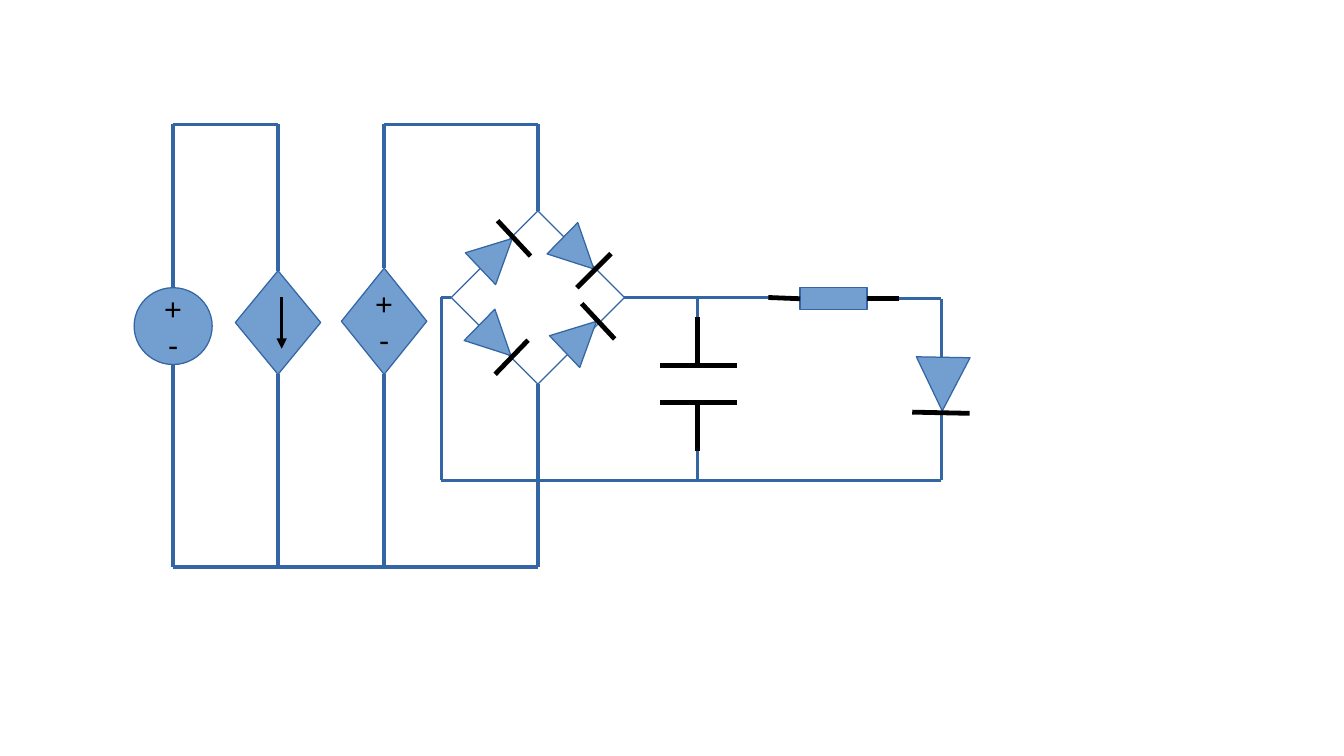
from dataclasses import dataclass
from itertools import pairwise
from typing import NamedTuple

from lxml.etree import SubElement
from pptx import Presentation
from pptx.dml.color import RGBColor
from pptx.enum.shapes import MSO_CONNECTOR as Link, MSO_SHAPE as Form
from pptx.enum.text import MSO_ANCHOR as Anchor, PP_ALIGN as Align
from pptx.oxml.ns import qn
from pptx.shapes.autoshape import Shape
from pptx.shapes.connector import Connector
from pptx.shapes.shapetree import SlideShapes
from pptx.util import Pt

EMU_PER_PX = 9144


@dataclass(frozen=True)
class Theme:
    fill: RGBColor = RGBColor(0x72, 0x9F, 0xCF)
    wire: RGBColor = RGBColor(0x34, 0x65, 0xA4)
    ink: RGBColor = RGBColor(0, 0, 0)
    paper: RGBColor = RGBColor(255, 255, 255)
    font: str = "Arial"
    text_size: float = 18
    hairline: float = 0
    heavy: float = 2.83


THEME = Theme()


class Point(NamedTuple):
    x: int
    y: int


@dataclass(frozen=True)
class Part:
    form: Form
    left: int
    top: int
    width: int
    height: int
    fill: RGBColor = THEME.fill
    signs: tuple[str, ...] = ()
    turn: float = 0

    def sites(self) -> list[Point]:
        middle_x = self.left + self.width // 2
        middle_y = self.top + self.height // 2
        return [
            Point(middle_x, self.top),
            Point(self.left, middle_y),
            Point(middle_x, self.top + self.height),
            Point(self.left + self.width, middle_y),
        ]


@dataclass(frozen=True)
class Diode:
    left: int
    top: int
    size: int
    turn: float
    bar: tuple[Point, Point]


Sockets = dict[Point, tuple[Shape, int]]

PARTS = [
    Part(Form.DIAMOND, 193, 222, 70, 85),
    Part(Form.DIAMOND, 370, 173, 142, 142, THEME.paper),
    Part(Form.DIAMOND, 280, 220, 70, 87, signs=("+", "-")),
    Part(Form.OVAL, 110, 236, 64, 63, signs=("+", "-")),
    Part(Form.RECTANGLE, 656, 236, 55, 18),
]

CURRENT_ARROW = (Point(231, 244), Point(231, 286))

WIRES = [
    [Point(142, 236), Point(142, 102), Point(228, 102), Point(228, 222)],
    [Point(142, 299), Point(142, 465), Point(228, 465), Point(228, 307)],
    [Point(315, 220), Point(315, 102), Point(441, 102), Point(441, 173)],
    [Point(315, 307), Point(315, 465), Point(441, 465), Point(441, 315)],
    [Point(228, 465), Point(315, 465)],
    [Point(370, 244), Point(362, 244), Point(362, 394), Point(572, 394),
     Point(772, 394), Point(772, 339)],
    [Point(512, 244), Point(572, 244), Point(654, 244)],
    [Point(572, 244), Point(572, 260)],
    [Point(572, 370), Point(572, 394)],
    [Point(732, 245), Point(772, 245), Point(772, 293)],
]

CAPACITOR = [
    (Point(541, 300), Point(604, 300)),
    (Point(541, 330), Point(604, 330)),
    (Point(572, 370), Point(572, 330)),
    (Point(572, 300), Point(572, 260)),
]

RESISTOR_LEADS = [
    (Point(656, 245), Point(630, 244)),
    (Point(737, 245), Point(711, 245)),
]

DIODES = [
    Diode(456, 190, 36, 134.4, (Point(501, 208), Point(473, 236))),
    Diode(388, 261, 36, 134.4, (Point(433, 279), Point(406, 307))),
    Diode(458, 258, 36, 46.4, (Point(477, 249), Point(504, 278))),
    Diode(389, 190, 36, 46.4, (Point(408, 181), Point(435, 210))),
    Diode(751, 293, 44, 181, (Point(795, 339), Point(748, 338))),
]


def px(length: int) -> int:
    return length * EMU_PER_PX


def write_signs(shape: Shape, signs: tuple[str, ...]) -> None:
    frame = shape.text_frame
    frame.word_wrap = False
    frame.vertical_anchor = Anchor.MIDDLE
    for index, sign in enumerate(signs):
        para = frame.add_paragraph() if index else frame.paragraphs[0]
        para.alignment = Align.CENTER
        span = para.add_run()
        span.text = sign
        span.font.name = THEME.font
        span.font.size = Pt(THEME.text_size)
        span.font.color.rgb = THEME.ink


def draw_part(shapes: SlideShapes, part: Part) -> Shape:
    shape = shapes.add_shape(
        part.form, px(part.left), px(part.top), px(part.width), px(part.height)
    )
    shape.shadow.inherit = False
    shape.rotation = part.turn
    shape.fill.solid()
    shape.fill.fore_color.rgb = part.fill
    shape.line.color.rgb = THEME.wire
    shape.line.width = Pt(THEME.hairline)
    if part.signs:
        write_signs(shape, part.signs)
    return shape


def draw_line(shapes: SlideShapes, start: Point, end: Point, sockets: Sockets,
              color: RGBColor = THEME.ink, width: float = THEME.heavy) -> Connector:
    line = shapes.add_connector(
        Link.STRAIGHT, px(start.x), px(start.y), px(end.x), px(end.y)
    )
    line.line.color.rgb = color
    line.line.width = Pt(width)
    SubElement(line._element.spPr, qn("a:effectLst"))
    if start in sockets:
        line.begin_connect(*sockets[start])
    if end in sockets:
        line.end_connect(*sockets[end])
    return line


def draw_diode(shapes: SlideShapes, diode: Diode, sockets: Sockets) -> None:
    draw_part(shapes, Part(Form.ISOSCELES_TRIANGLE, diode.left, diode.top,
                           diode.size, diode.size, turn=diode.turn))
    draw_line(shapes, *diode.bar, sockets)


def main() -> None:
    deck = Presentation()
    deck.slide_width, deck.slide_height = px(1102), px(620)
    page = deck.slides.add_slide(deck.slide_layouts[6])
    shapes = page.shapes

    sockets: Sockets = {}
    for part in PARTS:
        shape = draw_part(shapes, part)
        if part.form != Form.OVAL:
            for site, point in enumerate(part.sites()):
                sockets[point] = (shape, site)

    arrow = draw_line(shapes, *CURRENT_ARROW, sockets, width=THEME.hairline)
    SubElement(arrow.line._get_or_add_ln(), qn("a:tailEnd"), type="triangle")

    for wire in WIRES:
        for start, end in pairwise(wire):
            draw_line(shapes, start, end, sockets, THEME.wire, THEME.hairline)
    for start, end in CAPACITOR + RESISTOR_LEADS:
        draw_line(shapes, start, end, sockets)
    for diode in DIODES:
        draw_diode(shapes, diode, sockets)

    deck.save("out.pptx")


if __name__ == "__main__":
    main()
